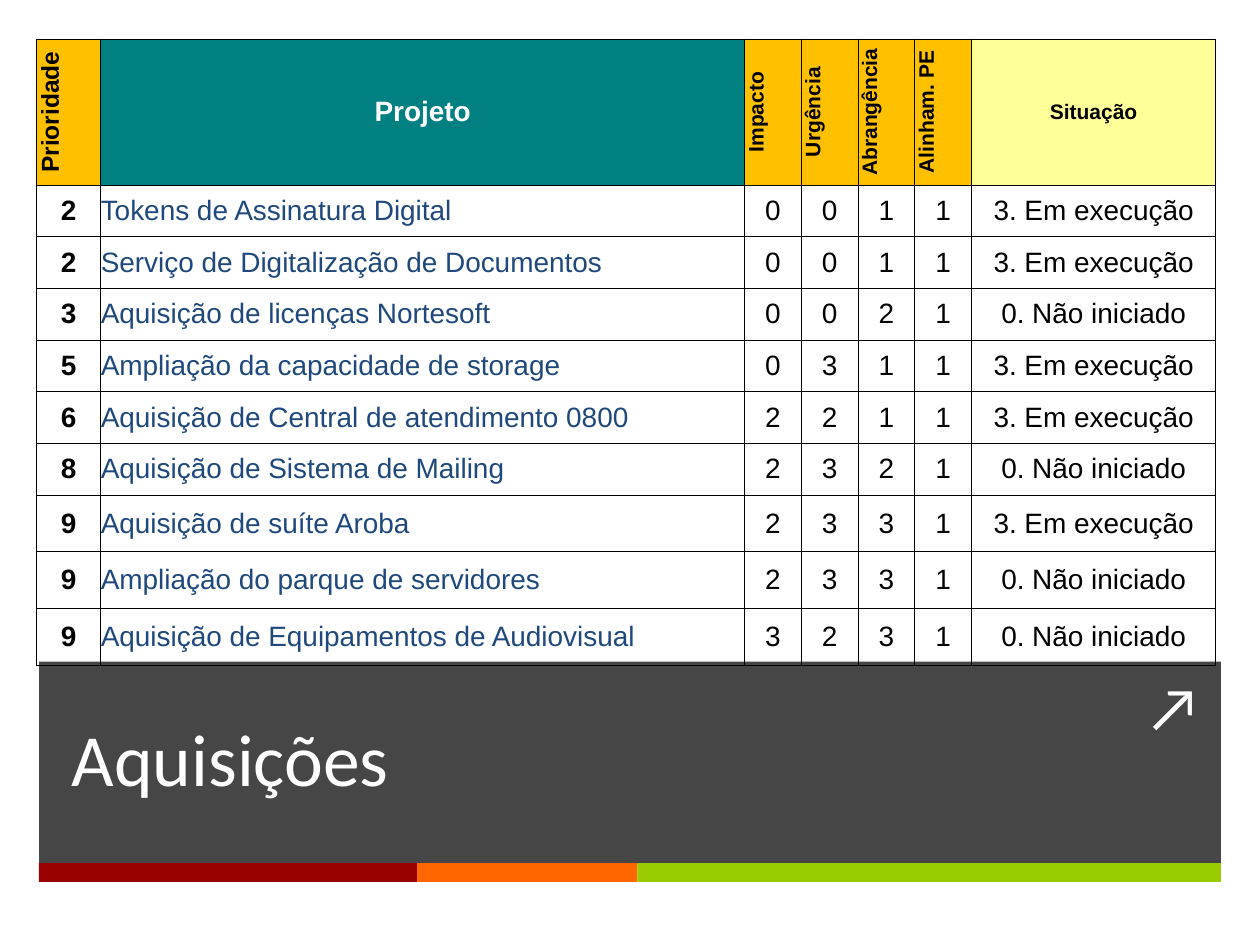
from lxml.etree import SubElement
from pptx import Presentation
from pptx.dml.color import RGBColor
from pptx.enum.shapes import MSO_SHAPE
from pptx.enum.text import MSO_ANCHOR, MSO_AUTO_SIZE, PP_ALIGN
from pptx.oxml import parse_xml
from pptx.oxml.ns import nsdecls, qn
from pptx.util import Inches, Pt

COLORS = {
    "black": "000000", "white": "FFFFFF", "dark": "262626",
    "red": "990000", "orange": "FF6600", "green": "99CC00",
    "gold": "FFC000", "teal": "008080", "cream": "FFFF99", "blue": "1F497D",
}


def style(par, color, align=PP_ALIGN.LEFT, **form):
    par.alignment = align
    for key, value in form.items():
        setattr(par.font, key, value)
    par.font.color.rgb = RGBColor.from_string(COLORS[color])


def add_bar(left, top, width, height, color):
    bar = slide.shapes.add_shape(MSO_SHAPE.RECTANGLE, Inches(left), Inches(top),
                                 Inches(width), Inches(height))
    bar.shadow.inherit = False
    bar.fill.solid()
    bar.fill.fore_color.rgb = RGBColor.from_string(COLORS[color])
    bar.line.fill.background()
    return bar


deck = Presentation()
deck.slide_width, deck.slide_height = Inches(10), Inches(7.5)
slide = deck.slides.add_slide(deck.slide_layouts[5])

# Title band, slightly transparent
band = add_bar(0.31, 5.25, 9.38, 1.61, "dark")
tint = band.element.spPr.find(qn("a:solidFill"))[0]
SubElement(tint, qn("a:alpha"), val="85000")

# Colour strip under the band
left = 0.31
for width, color in [(3, "red"), (1.75, "orange"), (4.63, "green")]:
    add_bar(left, 6.85, width, 0.15, color)
    left += width

# Corner arrow
arrow = slide.shapes.add_textbox(Inches(9), Inches(5.25), Inches(0.64), Inches(0.71))
arrow.text_frame.word_wrap = True
arrow.text_frame.text = "↗"
style(arrow.text_frame.paragraphs[0], "white", name="Calibri", size=Pt(36))

# Title, brought in front of the band
title = slide.shapes.title
title.element.getparent().append(title.element)
place = {"left": 0.47, "top": 5.26, "width": 8.5, "height": 1.15}
for key, value in place.items():
    setattr(title, key, Inches(value))
frame = title.text_frame
frame.text = "Aquisições"
setup = {"vertical_anchor": MSO_ANCHOR.BOTTOM, "word_wrap": True,
         "auto_size": MSO_AUTO_SIZE.NONE}
for key, value in setup.items():
    setattr(frame, key, value)
style(frame.paragraphs[0], "white", name="Calibri", size=Pt(42))

# Table data: heading, fill, text colour, size, turned
heads = [
    ("Prioridade", "gold", "black", 14, True),
    ("Projeto", "teal", "white", 16, False),
    ("Impacto", "gold", "black", 12, True),
    ("Urgência", "gold", "black", 12, True),
    ("Abrangência", "gold", "black", 12, True),
    ("Alinham. PE", "gold", "black", 12, True),
    ("Situação", "cream", "black", 12, False),
]
active, idle = "3. Em execução", "0. Não iniciado"
items = [
    (2, "Tokens de Assinatura Digital", 0, 0, 1, 1, active),
    (2, "Serviço de Digitalização de Documentos", 0, 0, 1, 1, active),
    (3, "Aquisição de licenças Nortesoft", 0, 0, 2, 1, idle),
    (5, "Ampliação da capacidade de storage", 0, 3, 1, 1, active),
    (6, "Aquisição de Central de atendimento 0800", 2, 2, 1, 1, active),
    (8, "Aquisição de Sistema de Mailing", 2, 3, 2, 1, idle),
    (9, "Aquisição de suíte Aroba", 2, 3, 3, 1, active),
    (9, "Ampliação do parque de servidores", 2, 3, 3, 1, idle),
    (9, "Aquisição de Equipamentos de Audiovisual", 3, 2, 3, 1, idle),
]
widths = [0.51, 5.11] + [0.45] * 4 + [1.94]
heights = [1.16] + [0.41] * 6 + [0.45] * 3

# Table grid
table = slide.shapes.add_table(len(heights), len(widths), Inches(0.29), Inches(0.31),
                               Inches(sum(widths)), Inches(sum(heights))).table
table.first_row = table.horz_banding = False
for col, width in zip(table.columns, widths):
    col.width = Inches(width)
for row, height in zip(table.rows, heights):
    row.height = Inches(height)

# Cell margins and borders
inset = {"margin_left": 0, "margin_right": 0, "margin_top": 0, "margin_bottom": 0,
         "vertical_anchor": MSO_ANCHOR.MIDDLE}
for cell in table.iter_cells():
    for key, value in inset.items():
        setattr(cell, key, value)
    for side in ("lnL", "lnR", "lnT", "lnB"):
        cell._tc.tcPr.append(parse_xml(
            f'<a:{side} {nsdecls("a")} w="{Pt(0.5)}"><a:solidFill>'
            f'<a:srgbClr val="{COLORS["black"]}"/></a:solidFill></a:{side}>'))

# Heading row
for c, (text, fill, color, size, turned) in enumerate(heads):
    cell = table.cell(0, c)
    cell.text = text
    cell.fill.solid()
    cell.fill.fore_color.rgb = RGBColor.from_string(COLORS[fill])
    if turned:
        cell._tc.tcPr.set("vert", "vert270")
    style(cell.text_frame.paragraphs[0], color, PP_ALIGN.CENTER,
          name="Arial", size=Pt(size), bold=True)

# Project rows
for r, item in enumerate(items, 1):
    for c, value in enumerate(item):
        cell = table.cell(r, c)
        cell.text = str(value)
        cell.fill.background()
        style(cell.text_frame.paragraphs[0], "blue" if c == 1 else "black",
              PP_ALIGN.LEFT if c == 1 else PP_ALIGN.CENTER,
              name="Arial", size=Pt(16), bold=c == 0)

deck.save("out.pptx")
